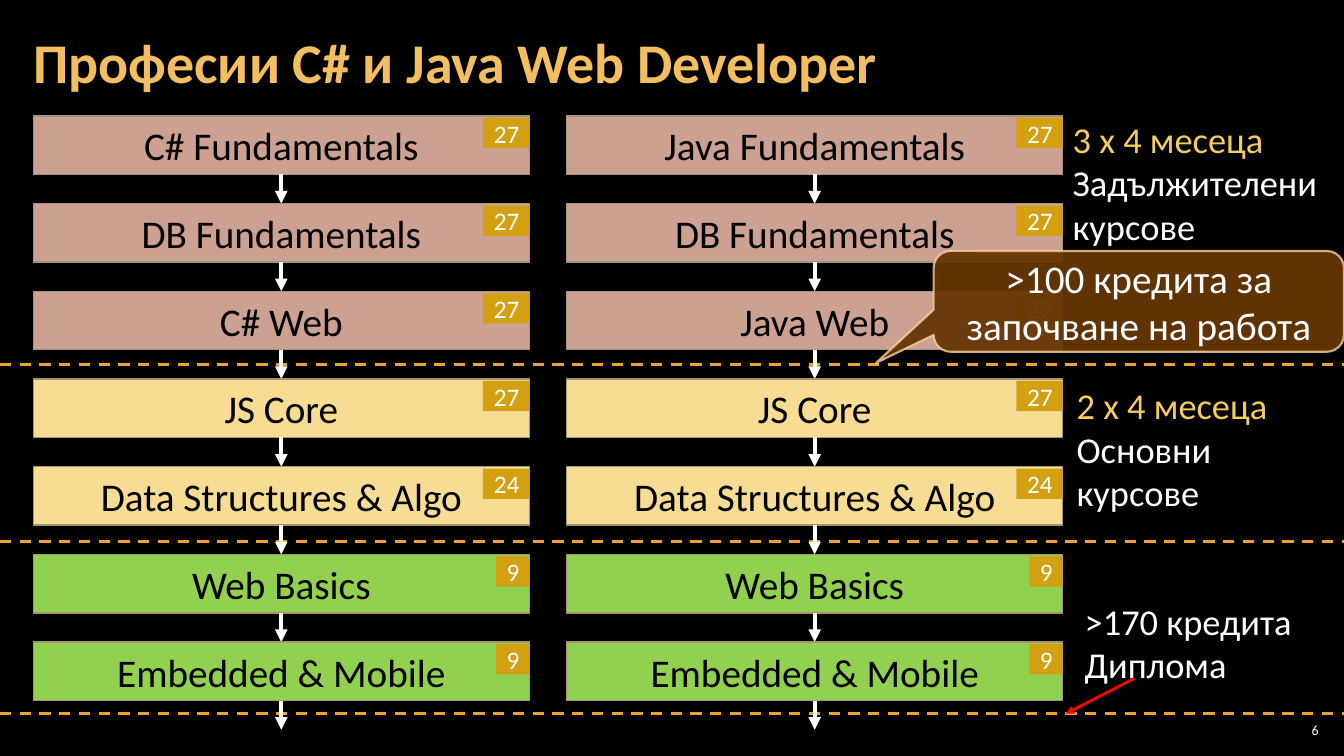
from dataclasses import dataclass

from lxml.etree import SubElement
from pptx import Presentation
from pptx.dml.color import RGBColor
from pptx.enum.dml import MSO_LINE
from pptx.enum.shapes import MSO_CONNECTOR, MSO_SHAPE
from pptx.enum.text import MSO_ANCHOR, MSO_AUTO_SIZE, PP_ALIGN
from pptx.oxml.ns import qn
from pptx.util import Inches, Pt

FONT = "Calibri"
WHITE = "FFFFFF"
BLACK = "000000"
AMBER = "F0A22E"
GOLD = "F3CD60"
ROSE = "CCA192"
CREAM = "F7DD93"
GREEN = "92D050"
WIDE = 13.33
TOP, STEP = 1.15, 0.87
BAR_W, BAR_H = 4.92, 0.58


@dataclass
class Course:
    names: tuple[str, str]
    points: int
    color: str


@dataclass
class Note:
    box: tuple[float, float, float, float]
    lines: tuple[str, str]
    colors: tuple[str, str]


COURSES = [
    Course(("C# Fundamentals", "Java Fundamentals"), 27, ROSE),
    Course(("DB Fundamentals", "DB Fundamentals"), 27, ROSE),
    Course(("C# Web", "Java Web"), 27, ROSE),
    Course(("JS Core", "JS Core"), 27, CREAM),
    Course(("Data Structures & Algo", "Data Structures & Algo"), 24, CREAM),
    Course(("Web Basics", "Web Basics"), 9, GREEN),
    Course(("Embedded & Mobile", "Embedded & Mobile"), 9, GREEN),
]
LEFTS = (0.33, 5.62)
BREAKS = (3.62, 5.37, 7.08)
NOTES = [
    Note((10.54, 1.11, 2.79, 1.41), ("3 x 4 месеца", "Задължителени курсове"), (GOLD, WHITE)),
    Note((10.58, 3.75, 2.13, 1.41), ("2 x 4 месеца", "Основни курсове"), (GOLD, WHITE)),
    Note((10.66, 5.89, 2.67, 0.98), (">170 кредита", "Диплома"), (WHITE, WHITE)),
]

deck = Presentation()
deck.slide_width, deck.slide_height = Inches(WIDE), Inches(7.5)
slide = deck.slides.add_slide(deck.slide_layouts[5])
shapes = slide.shapes


def paint(target, color: str) -> None:
    target.rgb = RGBColor.from_string(color)


def flood(fill, color: str) -> None:
    fill.solid()
    paint(fill.fore_color, color)


def fade(fill, share: int) -> None:
    tint = fill._xPr.find(qn("a:solidFill"))[0]
    SubElement(tint, qn("a:alpha"), val=str(share * 1000))


def inset(frame, side: float, edge: float) -> None:
    frame.margin_left = frame.margin_right = Inches(side)
    frame.margin_top = frame.margin_bottom = Inches(edge)


def style(para, size: float, color: str, align=PP_ALIGN.LEFT, bold: bool = False) -> None:
    para.alignment = align
    for run in para.runs:
        run.font.name, run.font.size, run.font.bold = FONT, Pt(size), bold
        paint(run.font.color, color)


def block(kind, box: tuple, color: str, text: str, size: float, ink: str, align):
    shape = shapes.add_shape(kind, *map(Inches, box))
    shape.shadow.inherit = False
    flood(shape.fill, color)
    shape.line.fill.background()
    frame = shape.text_frame
    frame.text, frame.word_wrap = text, True
    frame.vertical_anchor = MSO_ANCHOR.MIDDLE
    style(frame.paragraphs[0], size, ink, align)
    return shape


def link(start: tuple, end: tuple, color: str, width: float, arrow: bool = True) -> None:
    line = shapes.add_connector(MSO_CONNECTOR.STRAIGHT, *map(Inches, start + end))
    line.line.width = Pt(width)
    paint(line.line.color, color)
    if arrow:
        SubElement(line.line._get_or_add_ln(), qn("a:tailEnd"), type="triangle")
    else:
        line.line.dash_style = MSO_LINE.DASH
    SubElement(line._element.spPr, qn("a:effectLst"))


def bar(left: float, top: float, name: str, course: Course) -> None:
    shape = block(MSO_SHAPE.RECTANGLE, (left, top, BAR_W, BAR_H), course.color,
                  name, 28, BLACK, PP_ALIGN.CENTER)
    paint(shape.line.color, "A19574")
    shape.line.width = Pt(1)
    inset(shape.text_frame, 0.1, 0)
    para = shape.text_frame.paragraphs[0]
    para.space_before = para.space_after = Pt(3)


def badge(right: float, top: float, points: int) -> None:
    width = 0.46 if points > 9 else 0.33
    shape = block(MSO_SHAPE.RECTANGLE, (right - width, top, width, 0.3), "D2A010",
                  str(points), 18, WHITE, PP_ALIGN.RIGHT)
    inset(shape.text_frame, 0.1, 0)
    shape.text_frame.word_wrap = False
    shape.text_frame.auto_size = MSO_AUTO_SIZE.SHAPE_TO_FIT_TEXT


def label(note: Note) -> None:
    frame = shapes.add_textbox(*map(Inches, note.box)).text_frame
    frame.word_wrap = True
    frame.auto_size = MSO_AUTO_SIZE.SHAPE_TO_FIT_TEXT
    frame.text = "\n".join(note.lines)
    for para, color in zip(frame.paragraphs, note.colors):
        style(para, 26, color)


def head(text: str) -> None:
    title = shapes.title
    title.left, title.top, title.width, title.height = map(Inches, (0.21, 0.04, 10.47, 1.21))
    frame = title.text_frame
    frame.text, frame.word_wrap = text, True
    frame.auto_size = MSO_AUTO_SIZE.NONE
    frame.vertical_anchor = MSO_ANCHOR.MIDDLE
    inset(frame, 0.12, 0.04)
    frame.paragraphs[0].line_spacing = 0.9
    style(frame.paragraphs[0], 40, "F3BE60", bold=True)


def folio(text: str) -> None:
    frame = shapes.add_textbox(*map(Inches, (12.65, 7.14, 0.47, 0.21))).text_frame
    frame.text, frame.word_wrap = text, True
    frame.vertical_anchor = MSO_ANCHOR.MIDDLE
    inset(frame, 0.04, 0.04)
    style(frame.paragraphs[0], 10, WHITE, PP_ALIGN.RIGHT)


def bubble(text: str) -> None:
    shape = block(MSO_SHAPE.ROUNDED_RECTANGULAR_CALLOUT, (9.26, 2.49, 4.07, 1), "663606",
                  text, 28, WHITE, PP_ALIGN.CENTER)
    for spot, value in enumerate((-0.64, 0.61, 0.17)):
        shape.adjustments[spot] = value
    paint(shape.line.color, "F8D49E")
    shape.line.width = Pt(1.5)
    fade(shape.fill, 95)
    fade(shape.line.fill, 80)


def main() -> None:
    flood(slide.background.fill, BLACK)
    folio("6")
    head("Професии C# и Java Web Developer")
    for level in BREAKS:
        link((0, level), (WIDE, level), AMBER, 2, arrow=False)
    for row, course in enumerate(COURSES):
        top = TOP + row * STEP
        for left, name in zip(LEFTS, course.names):
            mid = left + BAR_W / 2
            bar(left, top, name, course)
            badge(left + BAR_W, top + 0.02, course.points)
            link((mid, top + BAR_H), (mid, top + STEP), WHITE, 3)
    for note in NOTES:
        label(note)
    link((11.25, 6.73), (10.57, 7.08), "FF0000", 2)
    bubble(">100 кредита за започване на работа")
    deck.save("out.pptx")


if __name__ == "__main__":
    main()
